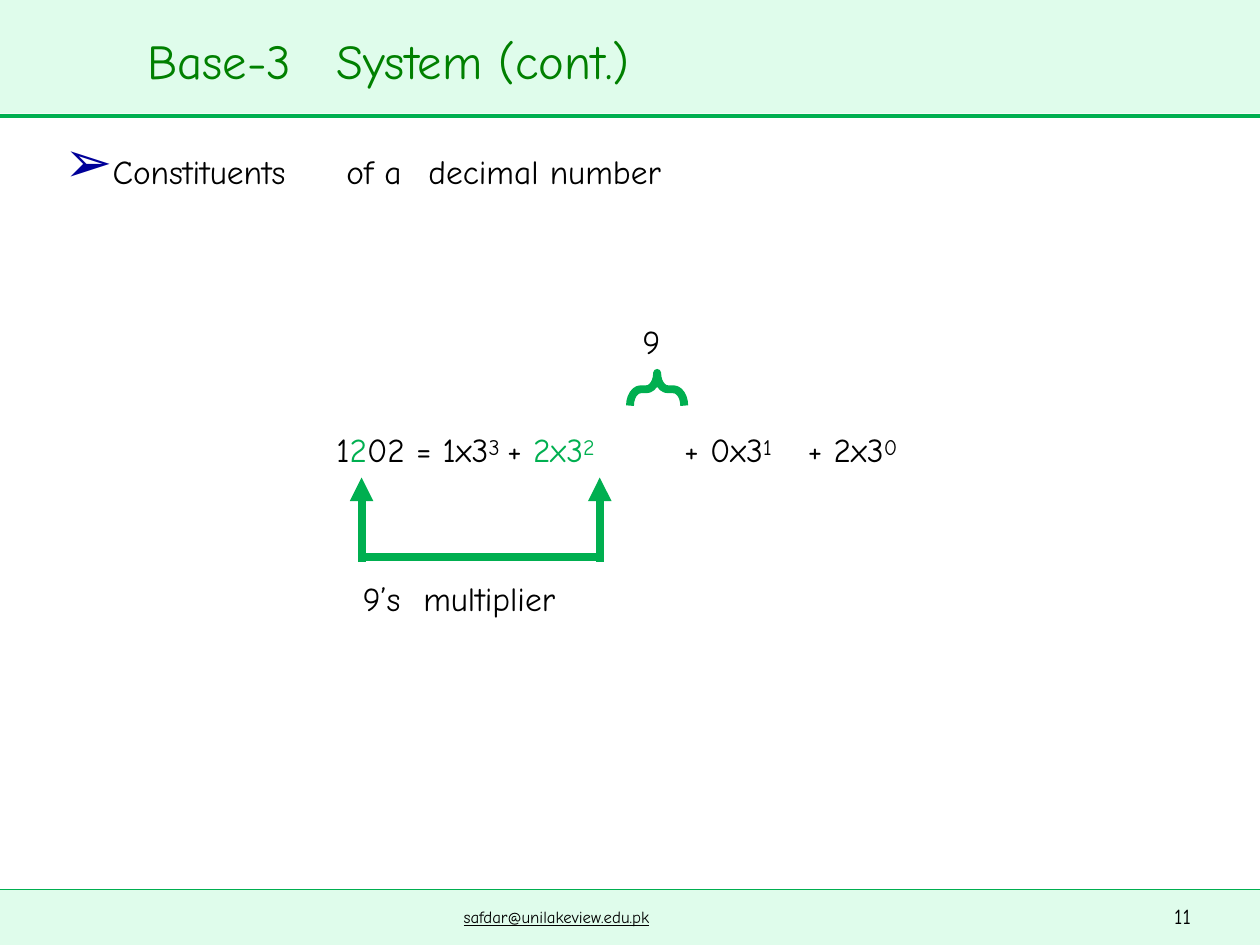
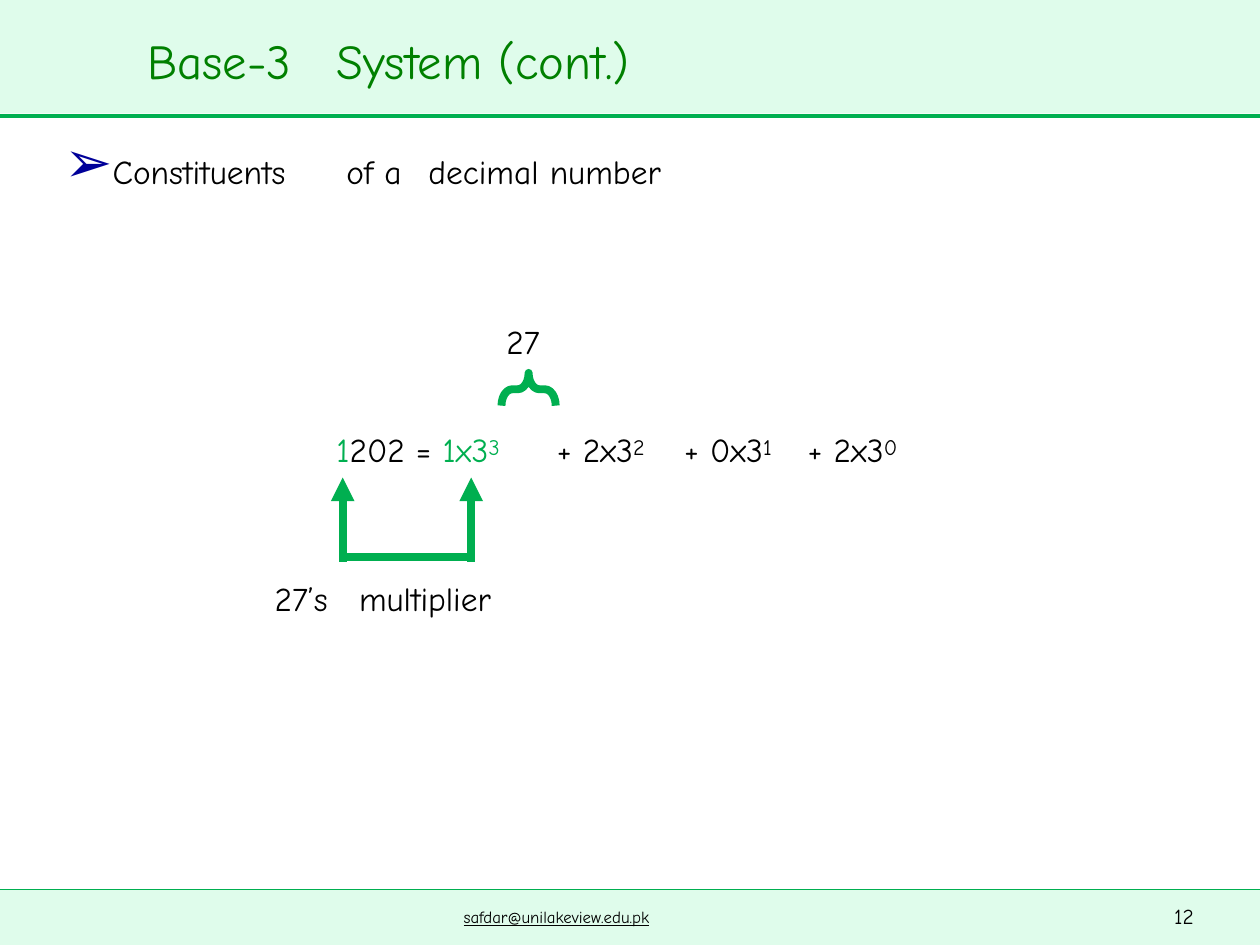
from dataclasses import dataclass

from lxml import etree
from pptx import Presentation
from pptx.dml.color import RGBColor
from pptx.enum.shapes import MSO_CONNECTOR, MSO_SHAPE
from pptx.enum.text import MSO_ANCHOR, MSO_AUTO_SIZE, PP_ALIGN
from pptx.oxml.ns import qn
from pptx.util import Inches, Pt

RECT, BRACE = MSO_SHAPE.RECTANGLE, MSO_SHAPE.LEFT_BRACE
STRAIGHT = MSO_CONNECTOR.STRAIGHT
TOP, LEFT, NO_FIT = MSO_ANCHOR.TOP, PP_ALIGN.LEFT, MSO_AUTO_SIZE.NONE
COLS, ROWS = 100, 75


@dataclass(frozen=True)
class Style:
    size: float
    leading: float
    color: str = "000000"
    raised: int = 2
    underline: bool = False


@dataclass(frozen=True)
class Theme:
    font: str = "Comic Neue"
    bullet_font: str = "Arial"
    bullet_color: str = "000099"
    bullet_size: float = 20.5
    band: str = "DFFCEB"
    accent: str = "00AF50"
    rule: float = 2
    hairline: float = 0.25
    bracket: float = 4.5
    title: Style = Style(48, 34, "008000", 1)
    body: Style = Style(33, 24)
    lit: Style = Style(33, 24, "00AF50")
    power: Style = Style(21.8, 24, raised=23)
    lit_power: Style = Style(21.8, 24, "00AF50", 23)
    page: Style = Style(21, 16.1)
    footer: Style = Style(16.5, 12.9, underline=True)


T = Theme()


@dataclass(frozen=True)
class Box:
    col: float
    row: float
    width: float
    height: float


@dataclass(frozen=True)
class Piece:
    text: str
    style: Style = T.body


@dataclass(frozen=True)
class Label:
    box: Box
    pieces: tuple[Piece, ...]


@dataclass(frozen=True)
class Place:
    page: str
    weight: Label
    owner: Label
    multiplier_col: float
    brace_col: float
    arrow_cols: tuple[float, float]
    equation: tuple[Label, ...]


def line_label(col: float, row: float, width: float, *pieces: Piece) -> Label:
    return Label(Box(col, row, width, 3.3), pieces)


def power(digit: str, exponent: str, lit: bool = False) -> tuple[Piece, Piece]:
    return (Piece(f"{digit}x3", T.lit if lit else T.body),
            Piece(exponent, T.lit_power if lit else T.power))


def equation_label(col: float, width: float, *pieces: Piece) -> Label:
    return line_label(col, 34.4, width, *pieces)


def added_term(col: float, digit: str, exponent: str) -> Label:
    return equation_label(col, 9.9, Piece("+ "), *power(digit, exponent))


LOW_TERMS = (added_term(54.2, "0", "1"), added_term(64, "2", "0"))
PLACES = (
    Place("11", line_label(50.9, 25.8, 2.6, Piece("9")),
          line_label(28.7, 46.2, 4.6, Piece("9’s")), 33.5, 50, (28.7, 47.6),
          (equation_label(26.6, 27.5, Piece("1"), Piece("2", T.lit), Piece("02 = "),
                          *power("1", "3 "), Piece("+ "), *power("2", "2", True)),
           *LOW_TERMS)),
    Place("12", line_label(40.1, 25.8, 4.5, Piece("27")),
          line_label(21.7, 46.2, 6.5, Piece("27’s")), 28.4, 39.8, (27.2, 37.4),
          (equation_label(26.6, 17.4, Piece("1", T.lit), Piece("202 = "),
                          *power("1", "3", True)),
           added_term(44.1, "2", "2"), *LOW_TERMS)),
)

prs = Presentation()
prs.slide_width, prs.slide_height = Inches(10), Inches(7.5)


def x(cols: float) -> int:
    return round(prs.slide_width * cols / COLS)


def y(rows: float) -> int:
    return round(prs.slide_height * rows / ROWS)


def rgb(color: str) -> RGBColor:
    return RGBColor.from_string(color)


def child(parent, tag: str, **attrs: str):
    el = etree.SubElement(parent, qn(tag))
    for name, value in attrs.items():
        el.set(name, value)
    return el


def write(sp, pieces: tuple[Piece, ...], indent: float = 0.01):
    tf = sp.text_frame
    tf.word_wrap, tf.auto_size, tf.vertical_anchor = True, NO_FIT, TOP
    tf.margin_left = tf.margin_right = tf.margin_top = tf.margin_bottom = 0
    p = tf.paragraphs[0]
    p.alignment = LEFT
    p.line_spacing = Pt(pieces[0].style.leading)
    p.space_before = Pt(pieces[0].style.leading / 20)
    pPr = p._p.get_or_add_pPr()
    pPr.set("marL", str(Inches(indent)))
    pPr.set("indent", "0")
    for piece in pieces:
        r = p.add_run()
        r.text = piece.text
        r.font.name, r.font.size = T.font, Pt(piece.style.size)
        r.font.color.rgb = rgb(piece.style.color)
        if piece.style.underline:
            r.font.underline = True
        r._r.get_or_add_rPr().set("baseline", str(piece.style.raised * 1000))
    return pPr


def place(sp, box: Box) -> None:
    sp.left, sp.top = x(box.col), y(box.row)
    sp.width, sp.height = x(box.width), y(box.height)


def add_label(slide, label: Label) -> None:
    sp = slide.shapes.add_textbox(0, 0, 0, 0)
    place(sp, label.box)
    write(sp, label.pieces)


def add_line(slide, start: tuple[float, float], end: tuple[float, float],
             width: float, arrow: bool = False) -> None:
    sp = slide.shapes.add_connector(STRAIGHT, x(start[0]), y(start[1]), x(end[0]), y(end[1]))
    sp.line.color.rgb, sp.line.width = rgb(T.accent), Pt(width)
    if arrow:
        child(sp.line._get_or_add_ln(), "a:tailEnd", type="triangle")
    child(sp._element.spPr, "a:effectLst")


def add_band(slide, row: float, height: float, rule_row: float, rule: float) -> None:
    sp = slide.shapes.add_shape(RECT, 0, y(row), x(COLS), y(height))
    sp.shadow.inherit = False
    sp.fill.solid()
    sp.fill.fore_color.rgb = rgb(T.band)
    sp.line.fill.background()
    add_line(slide, (0, rule_row), (COLS, rule_row), rule)


def add_title(slide) -> None:
    sp = slide.shapes.title
    slide.shapes._spTree.append(sp._element)
    place(sp, Box(11.6, 3, 60, 4.7))
    pPr = write(sp, (Piece("Base-3\tSystem (cont.)", T.title),))
    child(child(pPr, "a:tabLst"), "a:tab", pos=str(x(15.7)), algn="l")


def add_heading(slide) -> None:
    sp = slide.placeholders[1]
    slide.shapes._spTree.append(sp._element)
    place(sp, Box(5, 12.3, 22.2, 3.3))
    pPr = write(sp, (Piece("Constituents"),), indent=0.32)
    pPr.set("indent", str(-Inches(0.31)))
    child(child(pPr, "a:buClr"), "a:srgbClr", val=T.bullet_color)
    child(pPr, "a:buSzPts", val=str(round(T.bullet_size * 100)))
    child(pPr, "a:buFont", typeface=T.bullet_font)
    child(pPr, "a:buChar", char="➢")
    add_label(slide, line_label(27.4, 12.3, 6.4, Piece("of a")))
    add_label(slide, line_label(33.9, 12.3, 22.8, Piece("decimal number")))


def add_frame(slide, page: str) -> None:
    add_band(slide, 0, 9, 9.2, T.rule)
    add_band(slide, 70.6, 4.4, 70.6, T.hairline)
    add_title(slide)
    add_heading(slide)
    add_label(slide, Label(Box(36.7, 72, 20.6, 1.8),
                           (Piece("safdar@unilakeview.edu.pk", T.footer),)))
    add_label(slide, Label(Box(93.1, 71.8, 2.7, 2.2), (Piece(page, T.page),)))


def add_brace(slide, col: float) -> None:
    span, depth, row = 4.3, 2.6, 29.6
    inset = (span - depth) / 2
    sp = slide.shapes.add_shape(BRACE, x(col + inset), y(row - inset), x(depth), y(span))
    sp.rotation = 90
    sp.adjustments[0] = 0.33
    sp.shadow.inherit = False
    sp.fill.background()
    sp.line.color.rgb, sp.line.width = rgb(T.accent), Pt(T.bracket)


def add_bracket(slide, cols: tuple[float, float]) -> None:
    tip, base, foot = 37.9, 44.2, 44.6
    for col in cols:
        add_line(slide, (col, foot), (col, tip), T.bracket, arrow=True)
    add_line(slide, (cols[0], base), (cols[1], base), T.bracket)


def add_place_slide(item: Place) -> None:
    slide = prs.slides.add_slide(prs.slide_layouts[1])
    add_frame(slide, item.page)
    add_brace(slide, item.brace_col)
    add_bracket(slide, item.arrow_cols)
    multiplier = line_label(item.multiplier_col, 46.2, 14.3, Piece("multiplier"))
    for label in (item.weight, *item.equation, item.owner, multiplier):
        add_label(slide, label)


for item in PLACES:
    add_place_slide(item)
prs.save("out.pptx")
